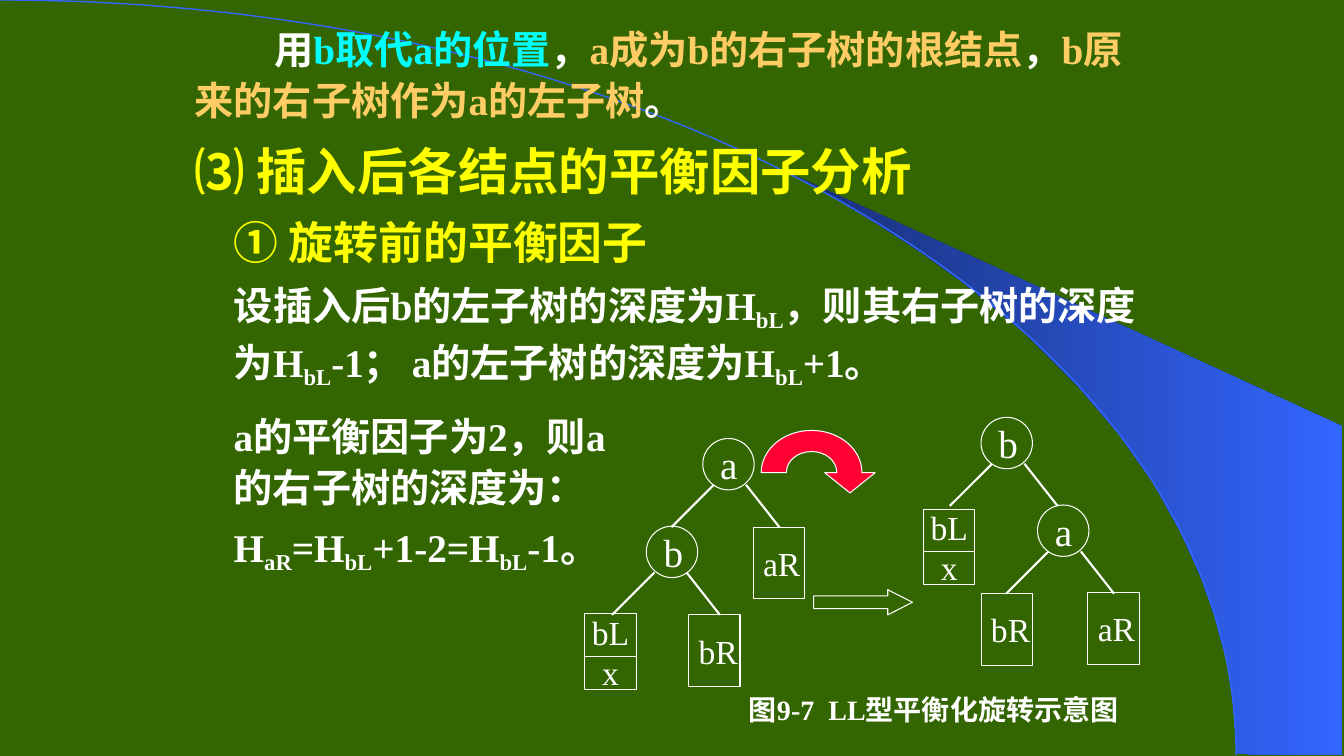
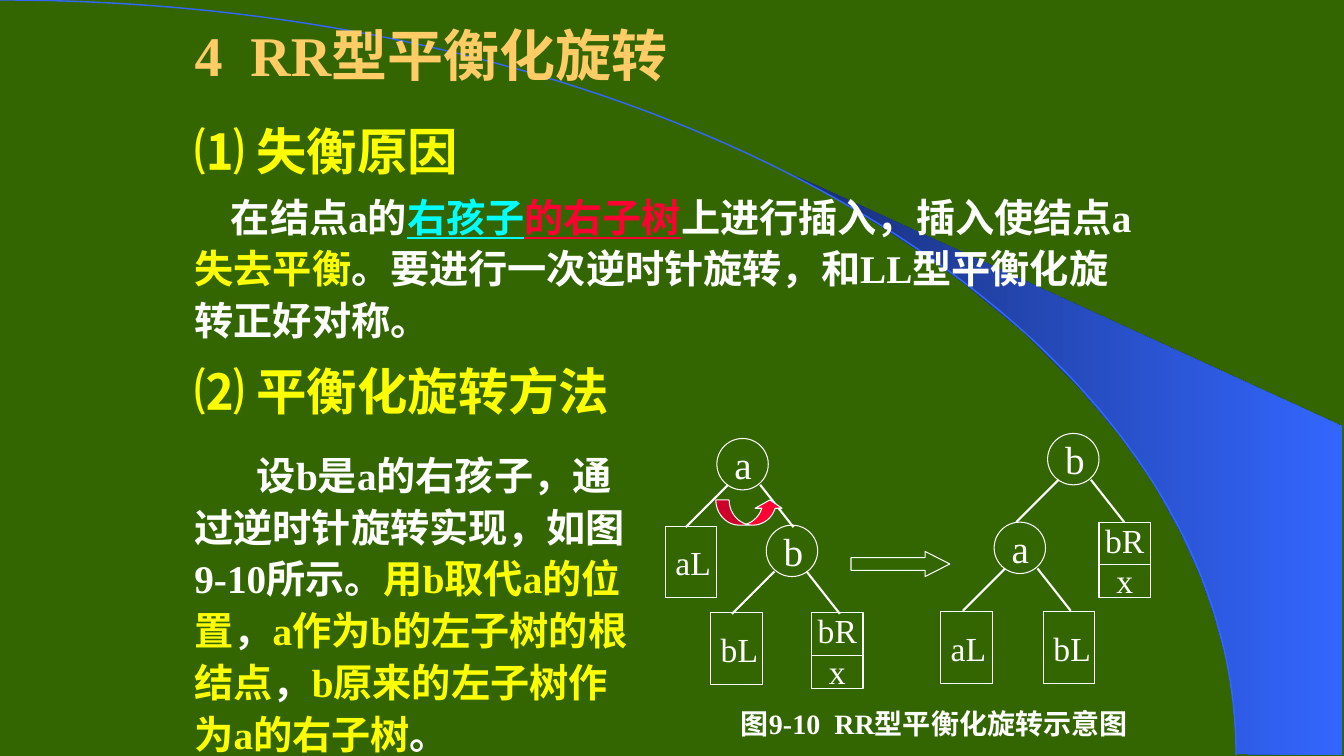
from dataclasses import dataclass

from lxml.etree import SubElement
from pptx import Presentation
from pptx.dml.color import RGBColor
from pptx.enum.shapes import MSO_CONNECTOR as Connector, MSO_SHAPE as Preset
from pptx.enum.text import MSO_ANCHOR as Anchor, MSO_AUTO_SIZE as AutoSize, PP_ALIGN as Align
from pptx.oxml.ns import qn
from pptx.util import Inches, Pt

COLORS = {
    "green": "336600", "navy": "182F76", "blue": "3366FF", "white": "FFFFFF",
    "yellow": "FFFF00", "gold": "FFCC66", "cyan": "00FFFF", "red": "FF0033",
}
LATIN, CHINESE = "Times New Roman", "Noto Sans CJK SC"
NODE_W = 0.51
TEXT_LEFT = 1.83
LEVEL_INDENT = 0.39


@dataclass(frozen=True)
class Span:
    text: str
    color: str = "white"
    underline: bool = False
    subscript: bool = False


@dataclass(frozen=True)
class Para:
    spans: list[Span]
    size: int = 28
    left: float = 0
    first: float = 0


@dataclass(frozen=True)
class Node:
    """A tree node: round with two branches, plain box, or split box."""
    kind: str
    label: str
    x: float
    y: float
    branch_shift: float = 0


def rgb(name: str) -> RGBColor:
    return RGBColor.from_string(COLORS[name])


# Text
def add_run(paragraph, span: Span, size: float, bold: bool) -> None:
    run = paragraph.add_run()
    run.text = span.text
    font = run.font
    font.size, font.bold = Pt(size), bold
    font.color.rgb = rgb(span.color)
    font.name = LATIN
    if span.underline:
        font.underline = True
    props = run._r.get_or_add_rPr()
    SubElement(props, qn("a:ea"), typeface=CHINESE)
    if span.subscript:
        props.set("baseline", "-20000")


def place(shape, x: float, y: float, w: float, h: float) -> None:
    shape.left, shape.top = Inches(x), Inches(y)
    shape.width, shape.height = Inches(w), Inches(h)


def fill_text(shape, paras: list[Para]) -> None:
    frame = shape.text_frame
    frame.word_wrap = True
    frame.auto_size = AutoSize.NONE
    for i, para in enumerate(paras):
        paragraph = frame.paragraphs[0] if i == 0 else frame.add_paragraph()
        paragraph.level = 1 if para.left else 0
        paragraph.line_spacing = 1.1
        paragraph.space_before = Pt(para.size * 0.2)
        props = paragraph._p.get_or_add_pPr()
        props.set("marL", str(Inches(para.left)))
        props.set("indent", str(Inches(para.first)))
        SubElement(props, qn("a:buNone"))
        for span in para.spans:
            add_run(paragraph, span, para.size, True)


def add_body(slide, y: float, h: float, paras: list[Para]) -> None:
    body = slide.placeholders[1]
    place(body, TEXT_LEFT, y, 9.64, h)
    fill_text(body, paras)


def add_note(slide, y: float, w: float, h: float, paras: list[Para]) -> None:
    note = slide.shapes.add_textbox(Inches(TEXT_LEFT), Inches(y), Inches(w), Inches(h))
    fill_text(note, paras)


def add_title(slide, text: str) -> None:
    title = slide.shapes.title
    place(title, TEXT_LEFT, 0.16, 5.08, 0.75)
    title.text_frame.vertical_anchor = Anchor.MIDDLE
    title.text_frame.auto_size = AutoSize.NONE
    heading = title.text_frame.paragraphs[0]
    heading.alignment = Align.LEFT
    add_run(heading, Span(text, "gold"), 40, True)


def add_caption(slide, x: float, y: float, text: str) -> None:
    caption = slide.shapes.add_textbox(Inches(x), Inches(y), Inches(4.3), Inches(0.39))
    caption.text_frame.word_wrap = True
    caption.text_frame.vertical_anchor = Anchor.MIDDLE
    add_run(caption.text_frame.paragraphs[0], Span(text), 20, True)


# Diagram parts
def style(shape, fill: str | None = None, line: str = "white", width: float = 0.75) -> None:
    shape.shadow.inherit = False
    if fill:
        shape.fill.solid()
        shape.fill.fore_color.rgb = rgb(fill)
    else:
        shape.fill.background()
    shape.line.color.rgb = rgb(line)
    shape.line.width = Pt(width)


def add_preset(slide, preset: Preset, x: float, y: float, w: float, h: float,
               adjustments: tuple = (), fill: str | None = None):
    shape = slide.shapes.add_shape(preset, Inches(x), Inches(y), Inches(w), Inches(h))
    for i, value in enumerate(adjustments):
        shape.adjustments[i] = value
    style(shape, fill)
    return shape


def add_outline(slide, points: list[tuple[float, float]], close: bool = True,
                curves: tuple[int, ...] = ()):
    """Draw an outline; each index in curves turns three segments into one Bezier."""
    spots = [(Inches(x), Inches(y)) for x, y in points]
    builder = slide.shapes.build_freeform(*spots[0])
    builder.add_line_segments(spots[1:], close=close)
    shape = builder.convert_to_shape()
    segments = list(shape._element.iter(qn("a:lnTo")))
    for start in curves:
        first, *others = segments[start:start + 3]
        first.tag = qn("a:cubicBezTo")
        for segment in others:
            first.append(segment[0])
            segment.getparent().remove(segment)
    return shape


def add_line(slide, x: float, y: float, dx: float, dy: float, width: float) -> None:
    line = slide.shapes.add_connector(
        Connector.STRAIGHT, Inches(x), Inches(y), Inches(x + dx), Inches(y + dy))
    line.line.color.rgb = rgb("white")
    line.line.width = Pt(width)
    SubElement(line._element.spPr, qn("a:effectLst"))


def add_node(slide, node: Node) -> None:
    is_round, is_split = node.kind == "round", node.kind == "split"
    preset = Preset.OVAL if is_round else Preset.RECTANGLE
    height = {"round": NODE_W, "box": 0.71, "split": 0.75}[node.kind]
    shape = add_preset(slide, preset, node.x, node.y, NODE_W, height)
    frame = shape.text_frame
    frame.word_wrap = False
    frame.vertical_anchor = Anchor.MIDDLE
    for i, label in enumerate([node.label, "x"] if is_split else [node.label]):
        paragraph = frame.paragraphs[0] if i == 0 else frame.add_paragraph()
        paragraph.alignment = Align.CENTER if is_split else Align.LEFT
        add_run(paragraph, Span(label), 28 if is_round else 24, False)
    if is_split:
        add_line(slide, node.x, node.y + 0.42, NODE_W, 0, 0.75)
    if is_round:
        x, y = node.x + node.branch_shift, node.y + 0.46
        add_line(slide, x + 0.11, y, -0.42, 0.42, 1.5)
        add_line(slide, x + 0.43, y, 0.33, 0.42, 1.5)


def add_step(slide, x: float, y: float) -> None:
    add_preset(slide, Preset.RIGHT_ARROW, x, y, 0.98, 0.25, (0.5, 0.98))


def add_clockwise_arrow(slide) -> None:
    inner = [(8.3, 4.69), (8.3, 4.57), (8.19, 4.48), (8.05, 4.48),
             (7.91, 4.48), (7.8, 4.57), (7.8, 4.69)]
    outer = [(7.55, 4.69), (7.55, 4.46), (7.77, 4.27), (8.05, 4.27),
             (8.33, 4.27), (8.55, 4.46), (8.55, 4.69)]
    head = [(8.68, 4.69), (8.43, 4.89), (8.18, 4.69)]
    style(add_outline(slide, inner + outer + head, curves=(0, 3, 7, 10)), "red")


# Shared background
def set_background(master, slide) -> None:
    master.background.fill.solid()
    master.background.fill.fore_color.rgb = rgb("green")
    wedge = add_outline(slide, [
        (12.27, 7.48), (13.31, 7.49), (13.31, 4.23), (7.86, 1.73), (8.32, 1.99), (8.7, 2.22),
        (9.13, 2.5), (9.55, 2.8), (10.16, 3.3), (10.7, 3.84), (11.1, 4.31), (11.44, 4.79),
        (11.71, 5.28), (11.91, 5.72), (12.04, 6.09), (12.17, 6.56), (12.23, 6.96)])
    wedge.shadow.inherit = False
    wedge.line.fill.background()
    wedge.fill.gradient()
    wedge.fill.gradient_angle = 0
    for stop, color in zip(wedge.fill.gradient_stops, ("navy", "blue")):
        stop.color.rgb = rgb(color)

    arc = add_outline(slide, [(0, 0), (6.77, 0), (12.26, 3.35), (12.26, 7.49)],
                      close=False, curves=(0,))
    style(arc, line="blue", width=1)
    for i, part in enumerate((wedge, arc)):
        master.shapes._spTree.insert(2 + i, part._element)


# Slides
def build_ll_slide(slide) -> None:
    title = slide.shapes.title._element
    title.getparent().remove(title)
    depth = Span("bL", subscript=True)
    add_body(slide, 0.15, 3.76, [
        Para([Span("用"), Span("b取代a的位置", "cyan"), Span("，"),
              Span("a成为b的右子树的根结点", "gold"), Span("，"),
              Span("b原来的右子树作为a的左子树", "gold"), Span("。")], first=0.79),
        Para([Span("⑶ 插入后各结点的平衡因子分析", "yellow")], 36),
        Para([Span("① 旋转前的平衡因子", "yellow")], 32, LEVEL_INDENT),
        Para([Span("设插入后b的左子树的深度为H"), depth, Span("，则其右子树的深度为H"), depth,
              Span("-1； a的左子树的深度为H"), depth, Span("+1。")], left=LEVEL_INDENT),
    ])
    for node in (
        Node("round", "a", 6.97, 4.35), Node("round", "b", 6.41, 5.22, -0.03),
        Node("box", "bR", 6.83, 6.1), Node("box", "aR", 7.47, 5.23),
        Node("split", "bL", 5.8, 6.09),
        Node("round", "a", 10.29, 5.01), Node("round", "b", 9.73, 4.14),
        Node("box", "bR", 9.73, 5.89), Node("box", "aR", 10.79, 5.88),
        Node("split", "bL", 9.16, 5.05),
    ):
        add_node(slide, node)
    add_clockwise_arrow(slide)
    add_step(slide, 8.07, 5.85)
    add_caption(slide, 7.33, 6.84, "图9-7  LL型平衡化旋转示意图")
    add_note(slide, 3.99, 4.44, 1.89, [
        Para([Span("a的平衡因子为2，则a的右子树的深度为：")], left=LEVEL_INDENT),
        Para([Span("H"), Span("aR", subscript=True), Span("=H"), depth,
              Span("+1-2=H"), depth, Span("-1。")], left=LEVEL_INDENT),
    ])


def build_rr_slide(slide) -> None:
    add_title(slide, "4  RR型平衡化旋转")
    add_body(slide, 1.08, 3.22, [
        Para([Span("⑴ 失衡原因", "yellow")], 36),
        Para([Span("在结点a的"), Span("右孩子", "cyan", True), Span("的右子树", "red", True),
              Span("上进行插入，插入使结点a"), Span("失去平衡", "yellow"),
              Span("。要进行一次逆时针旋转，和LL型平衡化旋转正好对称。")], first=0.36),
        Para([Span("⑵ 平衡化旋转方法", "yellow")], 36),
    ])
    add_note(slide, 4.38, 4.52, 2.91, [
        Para([Span("设b是a的右孩子，通过逆时针旋转实现，如图9-10所示。"),
              Span("用b取代a的位置", "yellow"), Span("，"),
              Span("a作为b的左子树的根结点", "yellow"), Span("，"),
              Span("b原来的左子树作为a的右子树", "yellow"), Span("。")], first=0.62),
    ])
    add_step(slide, 8.44, 5.47)
    add_caption(slide, 7.25, 6.98, "图9-10  RR型平衡化旋转示意图")
    for node in (
        Node("round", "b", 10.39, 4.3), Node("round", "a", 9.86, 5.18),
        Node("box", "bL", 10.35, 6.07), Node("box", "aL", 9.33, 6.07),
        Node("split", "bR", 10.9, 5.18),
        Node("round", "a", 7.11, 4.35), Node("round", "b", 7.6, 5.21, -0.03),
        Node("box", "bL", 7.05, 6.08), Node("box", "aL", 6.6, 5.22),
        Node("split", "bR", 8.05, 6.08),
    ):
        add_node(slide, node)
    add_preset(slide, Preset.CURVED_UP_ARROW, 7.1, 4.96, 0.67, 0.25, (0.53, 1.07, 0.33), "red")


def main() -> None:
    deck = Presentation()
    deck.slide_width, deck.slide_height = Inches(13.33), Inches(7.5)
    layout = deck.slide_layouts[1]
    ll_slide, rr_slide = (deck.slides.add_slide(layout) for _ in range(2))
    set_background(deck.slide_master, ll_slide)
    build_ll_slide(ll_slide)
    build_rr_slide(rr_slide)
    deck.save("out.pptx")


if __name__ == "__main__":
    main()
